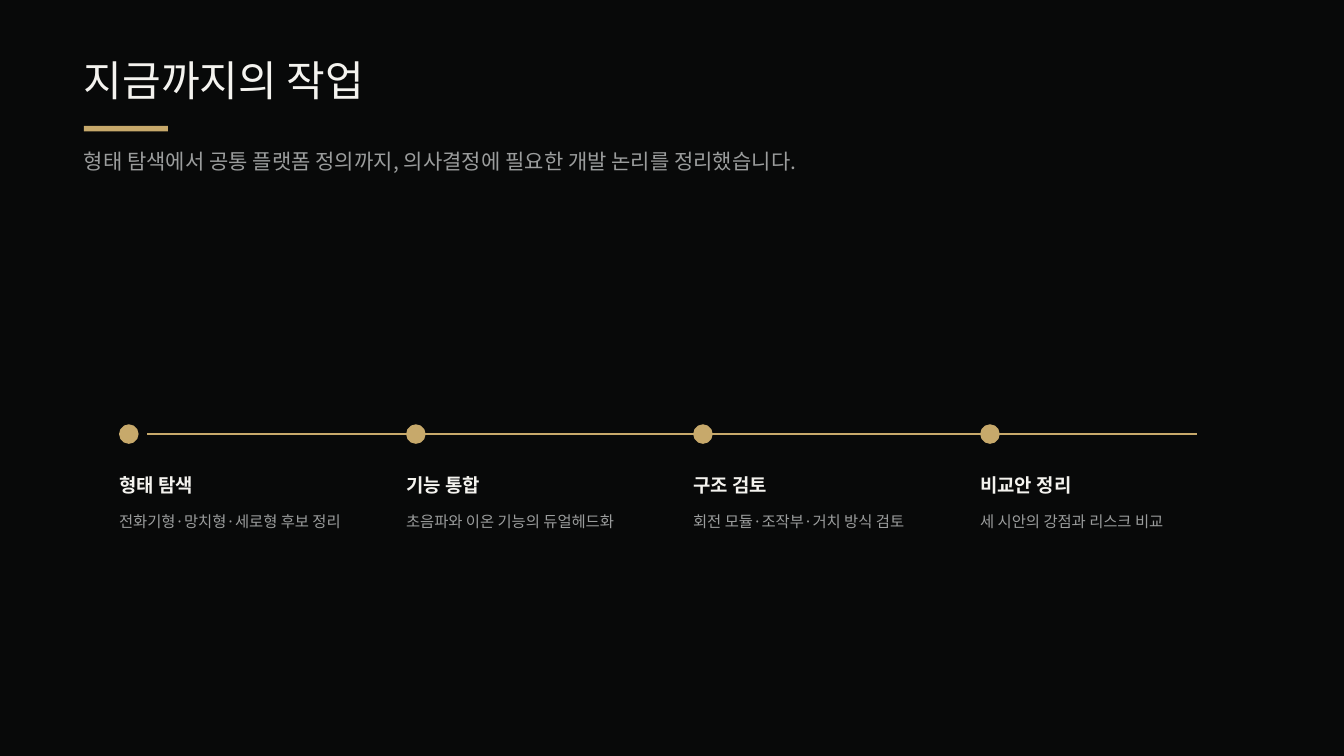
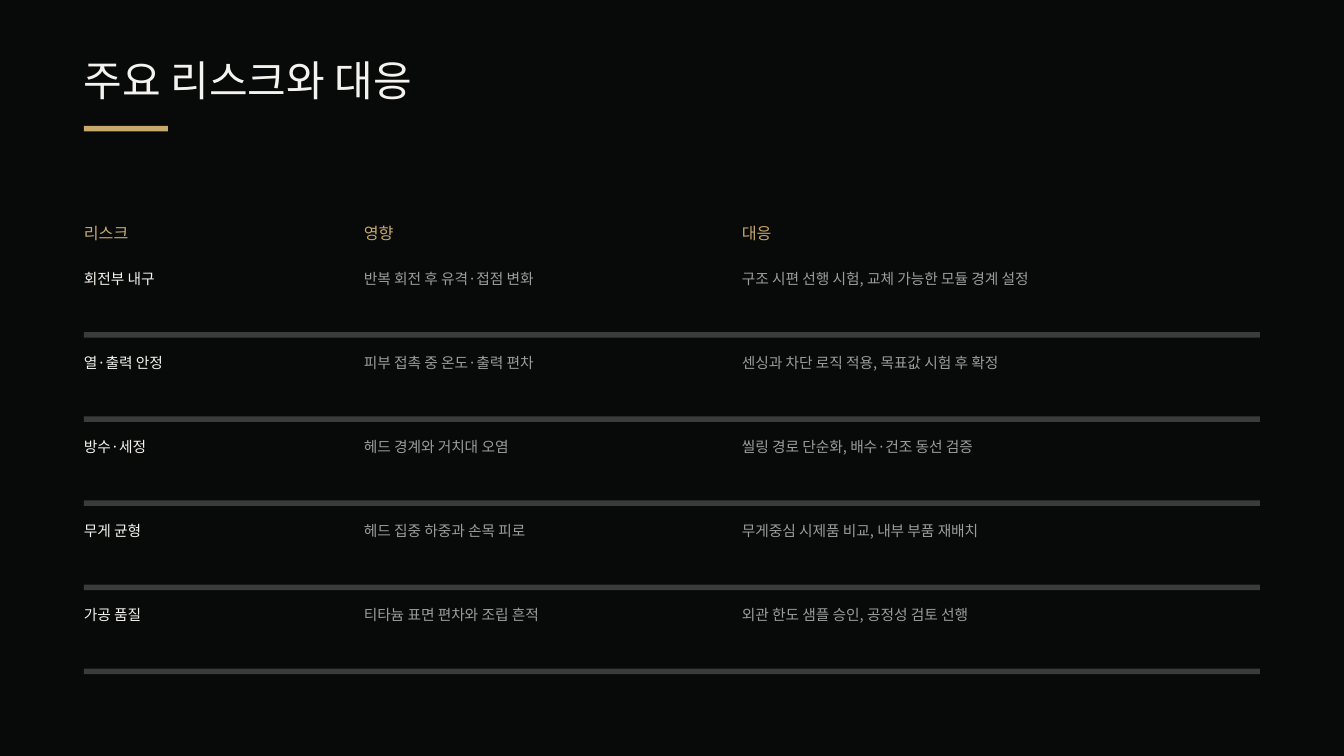
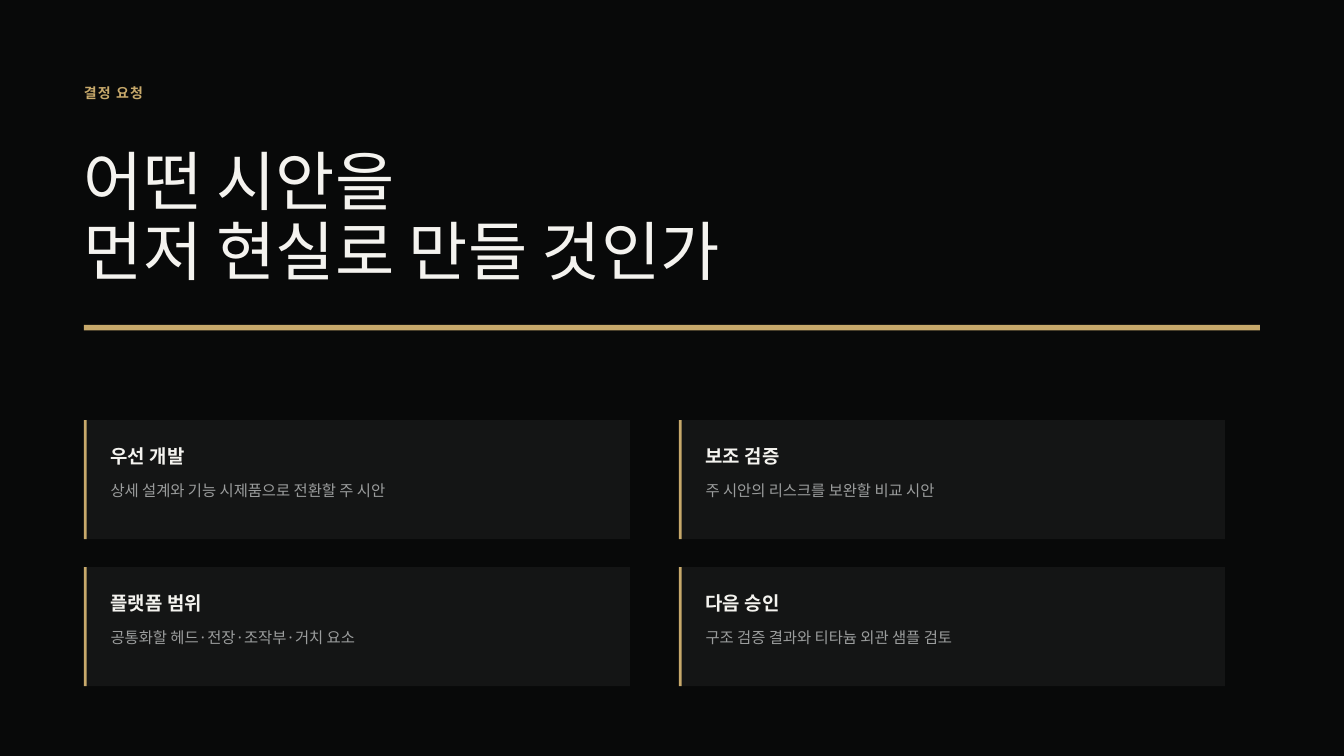
from lxml.etree import SubElement
from pptx import Presentation
from pptx.dml.color import RGBColor
from pptx.enum.shapes import MSO_CONNECTOR, MSO_SHAPE
from pptx.oxml.ns import qn
from pptx.util import Cm, Pt

# Content
TITLES = ["지금까지의 작업", "주요 리스크와 대응"]
SUB = "형태 탐색에서 공통 플랫폼 정의까지, 의사결정에 필요한 개발 논리를 정리했습니다."
STEPS = [
    ("형태 탐색", "전화기형·망치형·세로형 후보 정리"),
    ("기능 통합", "초음파와 이온 기능의 듀얼헤드화"),
    ("구조 검토", "회전 모듈·조작부·거치 방식 검토"),
    ("비교안 정리", "세 시안의 강점과 리스크 비교"),
]
RISKS = [
    ("리스크", "영향", "대응"),
    ("회전부 내구", "반복 회전 후 유격·접점 변화", "구조 시편 선행 시험, 교체 가능한 모듈 경계 설정"),
    ("열·출력 안정", "피부 접촉 중 온도·출력 편차", "센싱과 차단 로직 적용, 목표값 시험 후 확정"),
    ("방수·세정", "헤드 경계와 거치대 오염", "씰링 경로 단순화, 배수·건조 동선 검증"),
    ("무게 균형", "헤드 집중 하중과 손목 피로", "무게중심 시제품 비교, 내부 부품 재배치"),
    ("가공 품질", "티타늄 표면 편차와 조립 흔적", "외관 한도 샘플 승인, 공정성 검토 선행"),
]
LABEL = "결정 요청"
ASK = ["어떤 시안을", "먼저 현실로 만들 것인가"]
CARDS = [
    ("우선 개발", "상세 설계와 기능 시제품으로 전환할 주 시안"),
    ("보조 검증", "주 시안의 리스크를 보완할 비교 시안"),
    ("플랫폼 범위", "공통화할 헤드·전장·조작부·거치 요소"),
    ("다음 승인", "구조 검증 결과와 티타늄 외관 샘플 검토"),
]

# Shared look: a style is size, line height, colour, bold, letter spacing
FONT = "Noto Sans CJK KR"
BACK, PANEL, RULE = "080909", "141515", "3A3B3B"
GOLD, WHITE, GREY = "C7A96B", "F4F3EF", "9B9D9D"
TITLE = (45, 50.4, WHITE, False, 0)
LEAD = (22.5, 32.6, GREY, False, 0)
HEAD = (20.25, 28.4, WHITE, True, 0)
BODY = (16.5, 23.1, GREY, False, 0)
COLUMN = (17.25, 24.1, GOLD, False, 0)
NAME = (15.75, 21.3, WHITE, False, 0)
CELL = (15.75, 21.3, GREY, False, 0)
TAG = (15, 21, GOLD, True, 1.2)
HERO = (69, 74.5, WHITE, False, 0)
LEFT, WIDE, BAR = 3.17, 44.45, 0.21


def color(code):
    return RGBColor.from_string(code)


def write(frame, lines, style):
    size, height, code, bold, gap = style
    for i, line in enumerate(lines):
        para = frame.paragraphs[0] if i == 0 else frame.add_paragraph()
        para.text = line
        para.line_spacing = Pt(height)
        font = para.font
        font.size, font.bold, font.name = Pt(size), bold, FONT
        font.color.rgb = color(code)
        props = para._p.pPr.find(qn("a:defRPr"))
        SubElement(props, qn("a:ea")).set("typeface", FONT)
        if gap:
            props.set("spc", str(round(gap * 100)))


def trim(part, top=0, right=0):
    part.margin_left = part.margin_bottom = 0
    part.margin_top, part.margin_right = Cm(top), Cm(right)


def text(slide, x, y, w, h, lines, style):
    frame = slide.shapes.add_textbox(Cm(x), Cm(y), Cm(w), Cm(h)).text_frame
    frame.word_wrap = True
    trim(frame)
    write(frame, lines, style)


def block(slide, x, y, w, h, code, kind=MSO_SHAPE.RECTANGLE):
    shape = slide.shapes.add_shape(kind, Cm(x), Cm(y), Cm(w), Cm(h))
    shape.shadow.inherit = False
    shape.fill.solid()
    shape.fill.fore_color.rgb = color(code)
    shape.line.fill.background()


def page(deck, title=None):
    slide = deck.slides.add_slide(deck.slide_layouts[6])
    slide.background.fill.solid()
    slide.background.fill.fore_color.rgb = color(BACK)
    if title:
        text(slide, LEFT, 2.18, WIDE, 1.83, [title], TITLE)
        block(slide, LEFT, 4.76, 3.18, BAR, GOLD)
    return slide


def timeline(deck):
    slide = page(deck, TITLES[0])
    text(slide, LEFT, 5.4, 37.03, 1.06, [SUB], LEAD)
    # Axis
    axis, dot = 16.41, 0.74
    line = slide.shapes.add_connector(
        MSO_CONNECTOR.STRAIGHT, Cm(5.56), Cm(axis), Cm(45.24), Cm(axis))
    line.line.color.rgb = color(GOLD)
    line.line.width = Pt(1.6)
    SubElement(line._element.spPr, qn("a:effectLst"))
    # Steps
    for i, (head, body) in enumerate(STEPS):
        x = 4.5 + i * 10.85
        block(slide, x, axis - dot / 2, dot, dot, GOLD, MSO_SHAPE.OVAL)
        text(slide, x, 17.75, 8.47, 0.94, [head], HEAD)
        text(slide, x, 19.24, 8.47, 0.76, [body], BODY)


def risks(deck):
    slide = page(deck, TITLES[1])
    top, first, pitch = 8.38, 1.13, 3.18
    widths = [10.58, 14.29, 19.58]
    heights = [first] + [pitch] * (len(RISKS) - 1)
    table = slide.shapes.add_table(
        len(RISKS), len(widths), Cm(LEFT), Cm(top),
        Cm(sum(widths)), Cm(sum(heights))).table
    # Plain style without grid
    table.first_row = table.horz_banding = False
    style = table._tbl.tblPr.find(qn("a:tableStyleId"))
    style.text = "{2D5ABB26-0587-4C30-8999-92F81FD0307C}"
    for col, width in zip(table.columns, widths):
        col.width = Cm(width)
    for r, (row, height) in enumerate(zip(RISKS, heights)):
        table.rows[r].height = Cm(height)
        for c, words in enumerate(row):
            cell = table.cell(r, c)
            cell.fill.background()
            trim(cell, 0.64 if r else 0, 0.8)
            look = COLUMN if r == 0 else NAME if c == 0 else CELL
            write(cell.text_frame, [words], look)
        # Rule under each risk
        if r:
            y = top + first + r * pitch
            block(slide, LEFT, y - 0.13, WIDE, BAR, RULE)


def request(deck):
    slide = page(deck)
    text(slide, LEFT, 3.09, 18.52, 0.74, [LABEL], TAG)
    text(slide, LEFT, 5.64, 34.93, 5.31, ASK, HERO)
    block(slide, LEFT, 12.28, WIDE, BAR, GOLD)
    # Cards in two columns
    for i, (head, body) in enumerate(CARDS):
        x, y = LEFT + i % 2 * 22.49, 15.88 + i // 2 * 5.56
        block(slide, x, y, 20.64, 4.5, PANEL)
        block(slide, x, y, 0.11, 4.5, GOLD)
        text(slide, x + 1.01, y + 0.8, 18.62, 0.94, [head], HEAD)
        text(slide, x + 1.01, y + 2.19, 18.62, 0.76, [body], BODY)


def main():
    deck = Presentation()
    deck.slide_width, deck.slide_height = Cm(50.8), Cm(28.58)
    for build in (timeline, risks, request):
        build(deck)
    deck.save("out.pptx")


if __name__ == "__main__":
    main()
